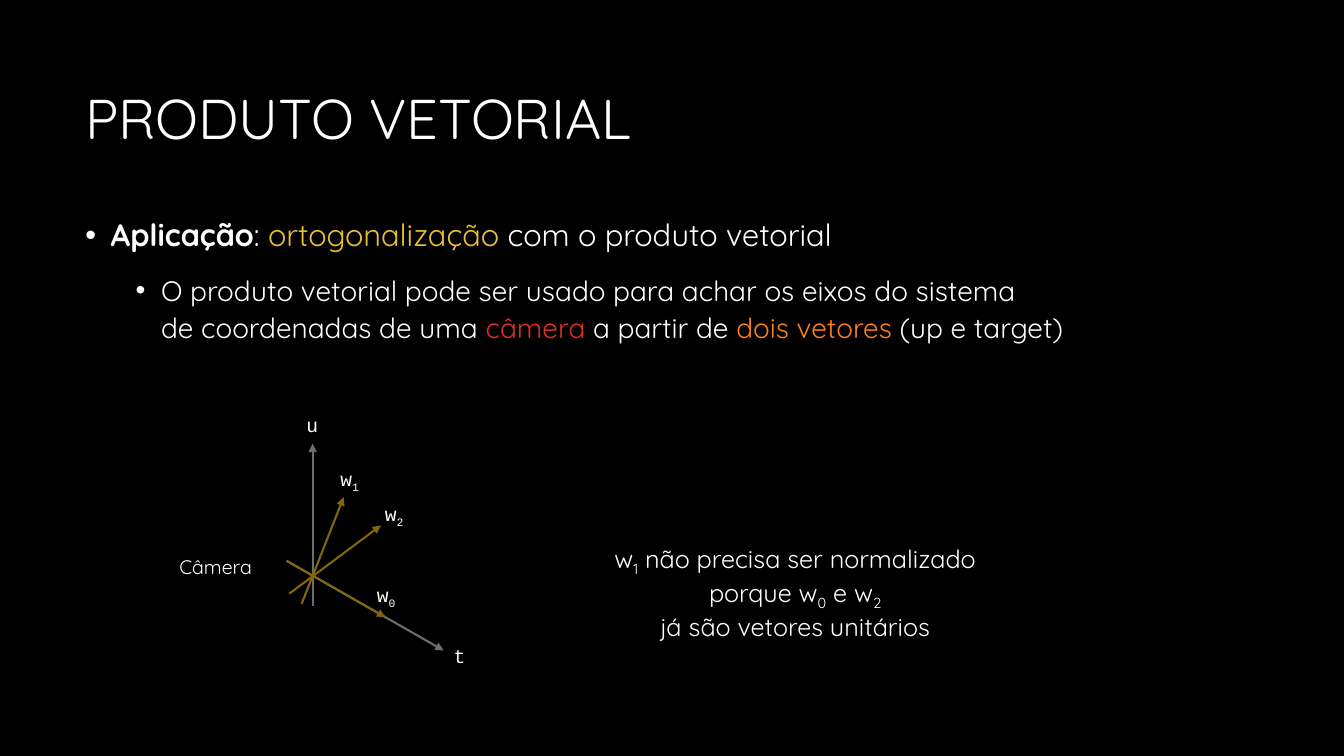
from pptx import Presentation
from pptx.dml.color import RGBColor
from pptx.enum.shapes import MSO_CONNECTOR as Connector
from pptx.enum.text import MSO_ANCHOR as Anchor, MSO_AUTO_SIZE as AutoSize, PP_ALIGN as Align
from pptx.oxml.ns import qn
from pptx.util import Cm, Pt
from lxml.etree import SubElement

BLACK = RGBColor(0x00, 0x00, 0x00)
WHITE = RGBColor(0xFF, 0xFF, 0xFF)
YELLOW = RGBColor(0xE9, 0xBF, 0x35)
RED = RGBColor(0xDF, 0x2E, 0x28)
ORANGE = RGBColor(0xFE, 0x80, 0x1A)
GREY = RGBColor(0x6D, 0x6D, 0x6D)
OLIVE = RGBColor(0x81, 0x66, 0x0E)
TEXT_FONT = "Quicksand"
CODE_FONT = "Courier New"


def add_span(para, text, size, color=WHITE, font=TEXT_FONT, bold=False, subscript=False):
    span = para.add_run()
    span.text = text
    span.font.name = font
    span.font.size = Pt(size)
    span.font.bold = bold
    span.font.color.rgb = color
    if subscript:
        span._r.get_or_add_rPr().set("baseline", "-25000")


def add_text_box(page, left, top, width, height, wrap=True):
    box = page.shapes.add_textbox(Cm(left), Cm(top), Cm(width), Cm(height))
    box.text_frame.word_wrap = wrap
    return box.text_frame


def add_bullet(para, indent):
    properties = para._p.get_or_add_pPr()
    properties.set("marL", str(Cm(indent)))
    properties.set("indent", str(-Cm(0.64)))
    SubElement(properties, qn("a:buFont"), typeface="Arial")
    SubElement(properties, qn("a:buChar"), char="•")
    para.line_spacing = 1.1


def add_title(page, left, top, width, height):
    title = page.shapes.title
    title.left, title.top, title.width, title.height = Cm(left), Cm(top), Cm(width), Cm(height)
    title.text_frame.vertical_anchor = Anchor.MIDDLE
    para = title.text_frame.paragraphs[0]
    para.alignment = Align.LEFT
    para.line_spacing = 0.9
    add_span(para, "PRODUTO VETORIAL", 40)


def add_body(page, left, top, width, height):
    frame = add_text_box(page, left, top, width, height)
    heading = frame.paragraphs[0]
    add_bullet(heading, 0.64)
    add_span(heading, "Aplicação", 22, bold=True)
    add_span(heading, ": ", 22)
    add_span(heading, "ortogonalização", 22, YELLOW)
    add_span(heading, " com o produto vetorial", 22)

    detail = frame.add_paragraph()
    detail.level = 1
    add_bullet(detail, 1.91)
    detail.space_before = Pt(12)
    add_span(detail, "O produto vetorial pode ser usado para achar os eixos do sistema", 20)
    detail.add_line_break()
    add_span(detail, "de coordenadas de uma ", 20)
    add_span(detail, "câmera", 20, RED)
    add_span(detail, " a partir de ", 20)
    add_span(detail, "dois vetores", 20, ORANGE)
    add_span(detail, " (up e target)", 20)


def add_note(page, left, top, width, height):
    frame = add_text_box(page, left, top, width, height)
    frame.auto_size = AutoSize.SHAPE_TO_FIT_TEXT
    para = frame.paragraphs[0]
    para.alignment = Align.CENTER
    pieces = [("w", "1"), (" não precisa ser normalizado porque w", "0"), (" e w", "2")]
    for text, index in pieces:
        add_span(para, text, 18)
        add_span(para, index, 18, subscript=True)
    para.add_line_break()
    add_span(para, "já são vetores unitários", 18)


def add_vector(page, start, end, color):
    vector = page.shapes.add_connector(Connector.STRAIGHT, *map(Cm, start + end))
    vector.line.color.rgb = color
    vector.line.width = Pt(1.5)
    SubElement(vector.line._get_or_add_ln(), qn("a:tailEnd"), type="triangle")
    SubElement(vector._element.spPr, qn("a:effectLst"))


def add_label(page, left, top, width, text, index="", font=CODE_FONT):
    frame = add_text_box(page, left, top, width, 0.86, wrap=False)
    frame.auto_size = AutoSize.SHAPE_TO_FIT_TEXT
    para = frame.paragraphs[0]
    add_span(para, text, 14, font=font)
    if index:
        add_span(para, index, 14, font=font, subscript=True)


def add_camera_axes(page, left, top):
    vectors = [
        ((3.61, 4.98), (3.61, 0.89), GREY, (3.2, 0), "u", ""),
        ((2.95, 3.84), (6.91, 6.1), GREY, (6.91, 5.82), "t", ""),
        ((2.95, 3.84), (5.44, 5.26), OLIVE, (4.98, 4.27), "w", "0"),
        ((3.02, 4.67), (5.33, 2.95), OLIVE, (5.18, 2.24), "w", "2"),
        ((3.33, 4.93), (4.39, 2.24), OLIVE, (4.06, 1.35), "w", "1"),
    ]
    add_label(page, left, top + 3.56, 2.54, "Câmera", font=TEXT_FONT)
    for start, end, color, label, name, index in vectors:
        add_vector(
            page,
            (left + start[0], top + start[1]),
            (left + end[0], top + end[1]),
            color,
        )
        width = 0.97 if index else 0.8
        add_label(page, left + label[0], top + label[1], width, name, index)


def main():
    deck = Presentation()
    deck.slide_width, deck.slide_height = Cm(33.87), Cm(19.05)
    page = deck.slides.add_slide(deck.slide_layouts[5])
    page.background.fill.solid()
    page.background.fill.fore_color.rgb = BLACK
    add_title(page, 1.9, 1.27, 30.05, 3.58)
    add_body(page, 1.9, 5.23, 30.05, 11.91)
    add_note(page, 15.01, 13.56, 10.06, 2.57)
    add_camera_axes(page, 4.27, 10.29)
    deck.save("out.pptx")


if __name__ == "__main__":
    main()
